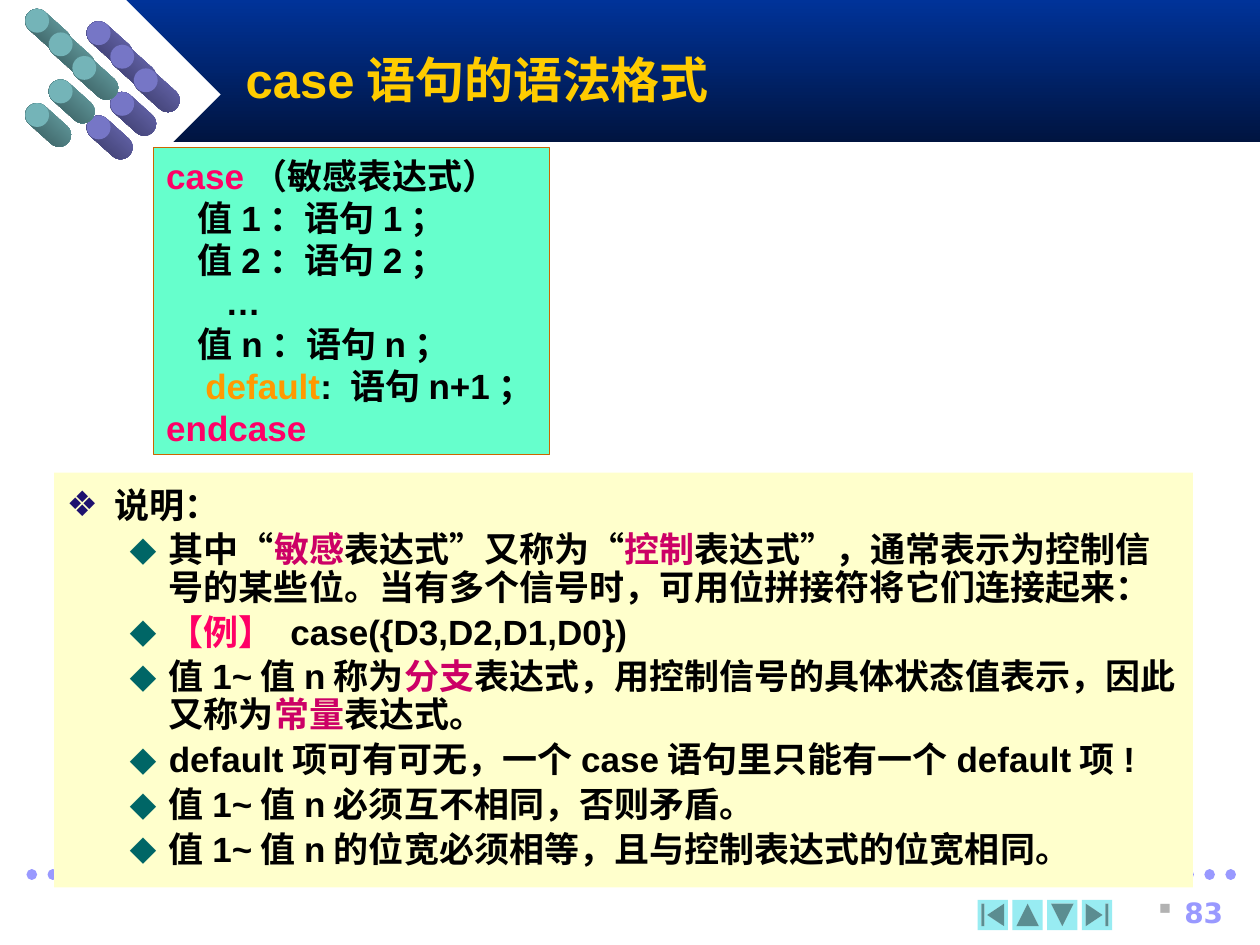
from dataclasses import dataclass

from lxml import etree
from pptx import Presentation
from pptx import util as u
from pptx.dml.color import RGBColor
from pptx.enum import dml, shapes, text
from pptx.oxml.ns import qn

Cm = u.Cm
Preset = shapes.MSO_SHAPE
Align = text.PP_ALIGN

COLORS = {
    "white": "FFFFFF", "black": "000000", "navy": "003399", "midnight": "001440",
    "gold": "FFCC00", "mint": "66FFCC", "cream": "FFFFCC", "rust": "CC6600",
    "keyword": "FF0066", "orange": "FF9900", "term": "CC0066",
    "periwinkle": "9999FF", "aqua": "98ECF2", "gray": "B2B2B2",
    "bullet_dark": "1E116F", "bullet_teal": "006666",
    "teal": "74B4B8", "teal_dark": "2C4A4C", "violet": "7676C6", "violet_dark": "303058",
}


@dataclass
class Box:
    left: float
    top: float
    width: float
    height: float

    def emu(self) -> tuple:
        return Cm(self.left), Cm(self.top), Cm(self.width), Cm(self.height)


@dataclass
class Bullet:
    char: str
    color: str
    size: int = 100


@dataclass
class Line:
    runs: list
    margin: float = 0
    hanging: float = 0
    level: int = 0
    spacing: float | None = None
    before: float = 0
    align: Align = Align.JUSTIFY
    bullet: Bullet | None = None


@dataclass
class PegColumn:
    left: float
    top: float
    face: str
    shade: str


def rgb(name: str) -> RGBColor:
    return RGBColor.from_string(COLORS[name])


def add_plain(slide, preset, box: Box, fill: str, rotation: float = 0, shade: str = ""):
    shape = slide.shapes.add_shape(preset, *box.emu())
    shape.shadow.inherit = False
    shape.line.fill.background()
    shape.rotation = rotation
    if shade:
        shape.fill.gradient()
        shape.fill.gradient_angle = 270
        for stop, color in zip(shape.fill.gradient_stops, (fill, shade)):
            stop.color.rgb = rgb(color)
    else:
        shape.fill.solid()
        shape.fill.fore_color.rgb = rgb(fill)
    return shape


def set_bullet(properties, bullet: Bullet | None) -> None:
    if bullet is None:
        etree.SubElement(properties, qn("a:buNone"))
        return
    color = etree.SubElement(properties, qn("a:buClr"))
    etree.SubElement(color, qn("a:srgbClr"), val=COLORS[bullet.color])
    etree.SubElement(properties, qn("a:buSzPct"), val=str(bullet.size * 1000))
    etree.SubElement(properties, qn("a:buChar"), char=bullet.char)


def write_text(shape, lines: list[Line], *, size: float = 20, font: str = "Arial",
               anchor=text.MSO_ANCHOR.TOP) -> None:
    """Each run is a (text, color) pair; all text is bold."""
    frame = shape.text_frame
    frame.word_wrap = True
    frame.auto_size = text.MSO_AUTO_SIZE.NONE
    frame.vertical_anchor = anchor
    for index, line in enumerate(lines):
        paragraph = frame.add_paragraph() if index else frame.paragraphs[0]
        paragraph.alignment = line.align
        paragraph.level = line.level
        paragraph.space_before = u.Pt(line.before)
        if line.spacing:
            paragraph.line_spacing = line.spacing
        properties = paragraph._p.get_or_add_pPr()
        properties.set("marL", str(Cm(line.margin)))
        properties.set("indent", str(-Cm(line.hanging)))
        set_bullet(properties, line.bullet)
        for words, color in line.runs:
            run = paragraph.add_run()
            run.text = words
            run.font.name, run.font.size, run.font.bold = font, u.Pt(size), True
            run.font.color.rgb = rgb(color)


def place(placeholder, box: Box) -> None:
    """Move a placeholder and bring it in front of the decoration."""
    placeholder.left, placeholder.top, placeholder.width, placeholder.height = box.emu()
    placeholder.element.getparent().append(placeholder.element)


def add_pegs(slide, column: PegColumn) -> None:
    size, step, length = 0.48, 0.475, 1.08
    for row, offset in enumerate((0, 1, 2, 1, 0)):
        left, top = column.left + offset * step, column.top + row * step
        body = Box(left + 0.22 + (size - length) / 2, top + 0.2, length, size)
        peg = add_plain(slide, Preset.ROUNDED_RECTANGLE, body, column.face, 42, column.shade)
        peg.adjustments[0] = 0.5
        add_plain(slide, Preset.OVAL, Box(left, top, size, size), column.face)


def add_dotted_line(slide, left: float, right: float, top: float) -> None:
    line = slide.shapes.add_connector(
        shapes.MSO_CONNECTOR.STRAIGHT, Cm(left), Cm(top), Cm(right), Cm(top))
    line.line.color.rgb = rgb("periwinkle")
    line.line.width = u.Pt(6)
    line.line.dash_style = dml.MSO_LINE.ROUND_DOT
    line.line._get_or_add_ln().set("cap", "rnd")
    etree.SubElement(line._element.spPr, qn("a:effectLst"))


def code(*runs, margin: float = 0) -> Line:
    return Line(list(runs), margin=margin)


def note(*runs) -> Line:
    return Line(list(runs), margin=2.06, hanging=0.79, level=1, spacing=0.9, before=4,
                align=Align.LEFT, bullet=Bullet("⬥", "bullet_teal", 110))


CODE_LINES = [
    code(("case", "keyword"), ("（敏感表达式）", "black")),
    code(("值1：语句1；", "black"), margin=0.64),
    code(("值2：语句2；", "black"), margin=0.64),
    code(("…", "black"), margin=1.2),
    code(("值n：语句n；", "black"), margin=0.64),
    code(("default", "orange"), (": 语句n+1；", "black"), margin=0.79),
    code(("endcase", "keyword")),
]

NOTES = [
    Line([("说明：", "black")], margin=0.97, hanging=0.97, spacing=1.1, before=4,
         bullet=Bullet("❖", "bullet_dark")),
    note(("其中“", "black"), ("敏感", "term"), ("表达式”又称为“", "black"), ("控制", "term"),
         ("表达式”，通常表示为控制信号的某些位。当有多个信号时，可用位拼接符将它们连接起来：", "black")),
    note(("【例】 ", "keyword"), ("case({D3,D2,D1,D0})", "black")),
    note(("值1~值n称为", "black"), ("分支", "term"),
         ("表达式，用控制信号的具体状态值表示，因此又称为", "black"),
         ("常量", "term"), ("表达式。", "black")),
    note(("default项可有可无，一个case语句里只能有一个default项!", "black")),
    note(("值1~值n必须互不相同，否则矛盾。", "black")),
    note(("值1~值n的位宽必须相等，且与控制表达式的位宽相同。", "black")),
]

BUTTONS = [
    (Preset.ACTION_BUTTON_BEGINNING, 0),
    (Preset.ACTION_BUTTON_BACK_OR_PREVIOUS, 90),
    (Preset.ACTION_BUTTON_FORWARD_OR_NEXT, 90),
    (Preset.ACTION_BUTTON_END, 0),
]


def main() -> None:
    presentation = Presentation()
    presentation.slide_width, presentation.slide_height = Cm(25.4), Cm(19.05)
    slide = presentation.slides.add_slide(presentation.slide_layouts[1])
    title, body = slide.placeholders

    # Header band with peg ornament
    add_plain(slide, Preset.RECTANGLE, Box(2.54, 0, 22.86, 2.87), "navy", shade="midnight")
    add_plain(slide, Preset.DIAMOND, Box(0.64, 0, 3.81, 3.81), "white")
    add_pegs(slide, PegColumn(1.75, 0.43, "violet", "violet_dark"))
    add_pegs(slide, PegColumn(0.51, 0.18, "teal", "teal_dark"))

    # Footer: dots, navigation buttons, page number
    add_dotted_line(slide, 0.64, 24.97, 17.63)
    for index, (preset, rotation) in enumerate(BUTTONS):
        add_plain(slide, preset, Box(19.71 + index * 0.7, 18.14, 0.61, 0.61), "aqua", rotation)
    number = slide.shapes.add_textbox(*Box(22.5, 17.93, 2.41, 0.84).emu())
    write_text(number, [Line([("83", "periwinkle")], margin=0.6, hanging=0.6,
                             align=Align.RIGHT, bullet=Bullet("▪", "gray"))],
               size=16, font="DejaVu Sans")

    # Title
    place(title, Box(4.7, 0.66, 21.59, 1.88))
    write_text(title, [Line([("case语句的语法格式", "gold")], align=Align.LEFT)],
               size=28, anchor=text.MSO_ANCHOR.MIDDLE)

    # Syntax box
    syntax = add_plain(slide, Preset.RECTANGLE, Box(3.1, 2.97, 7.98, 6.2), "mint")
    syntax.line.color.rgb = rgb("rust")
    syntax.line.width = u.Pt(0.75)
    write_text(syntax, CODE_LINES, anchor=text.MSO_ANCHOR.BOTTOM)

    # Explanation list
    place(body, Box(1.09, 9.53, 22.96, 8.36))
    body.fill.solid()
    body.fill.fore_color.rgb = rgb("cream")
    write_text(body, NOTES)

    presentation.save("out.pptx")


if __name__ == "__main__":
    main()
